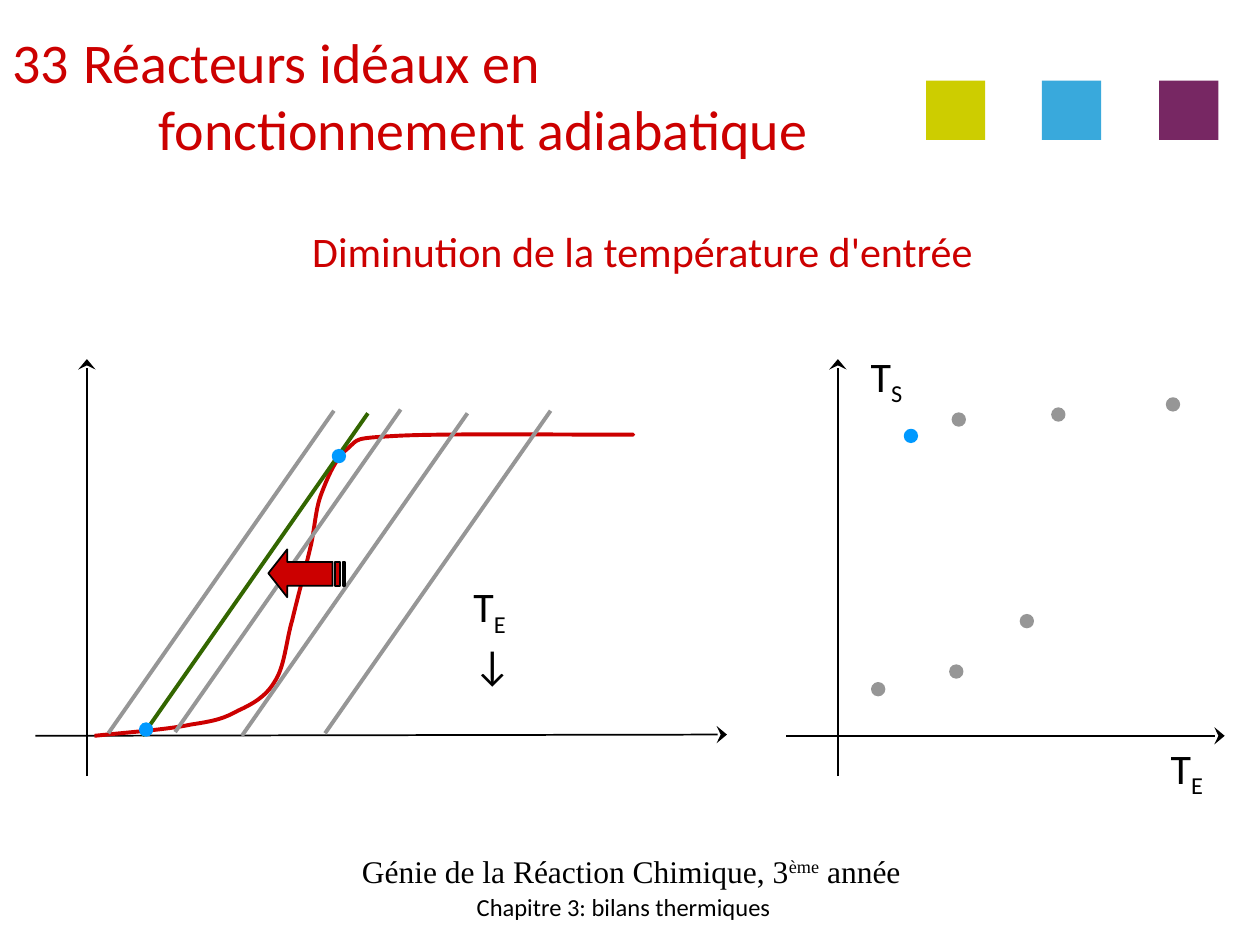
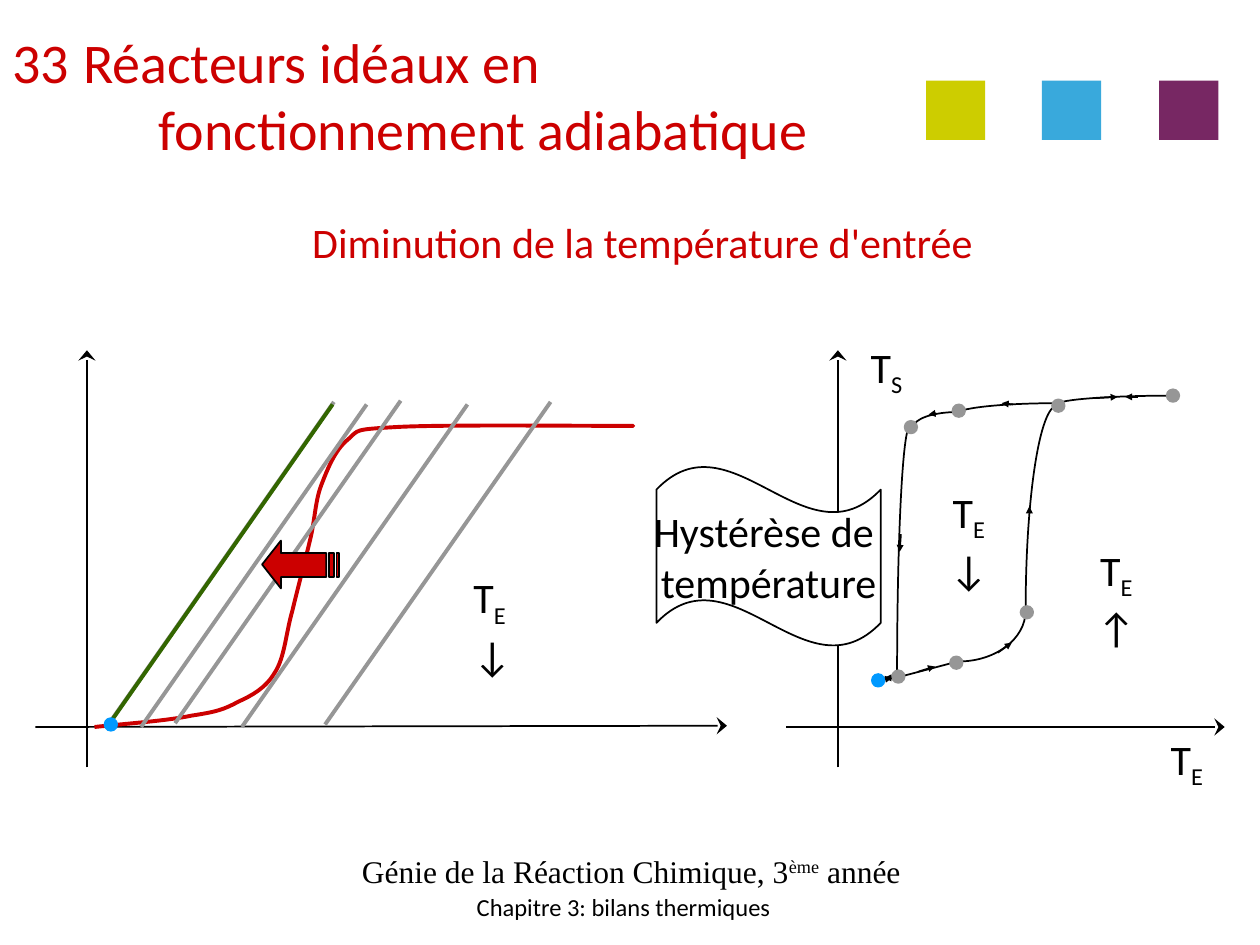
from dataclasses import dataclass
from typing import NamedTuple

from lxml import etree
from pptx import Presentation
from pptx import util as u
from pptx.dml.color import RGBColor
from pptx.enum import shapes, text
from pptx.oxml.ns import qn

PX = 9144  # 100 px to the inch
CIRCLE_HANDLE = 0.55


def px(length: float) -> u.Emu:
    return u.Emu(round(length * PX))


def rgb(value: str) -> RGBColor:
    return RGBColor.from_string(value)


@dataclass(frozen=True)
class Theme:
    body_font: str = "Calibri"
    footer_font: str = "Times New Roman"
    black: str = "000000"
    white: str = "FFFFFF"
    red: str = "CC0000"
    gray: str = "969696"
    green: str = "336600"
    blue: str = "0099FF"
    squares: tuple[str, ...] = ("CDCD00", "39A9DC", "772763")
    title_size: int = 32
    label_size: int = 24
    footer_size: int = 18
    chapter_size: int = 14
    thin: float = 1
    thick: float = 2.25


THEME = Theme()


class Point(NamedTuple):
    x: float
    y: float


class Box(NamedTuple):
    left: int
    top: int
    width: int
    height: int


class Run(NamedTuple):
    text: str
    baseline: int = 0


class Segment(NamedTuple):
    start: Point
    end: Point


class ArrowTip(NamedTuple):
    type: str
    w: str
    len: str


AXIS_TIP = ArrowTip("stealth", "lg", "med")
DIRECTION_TIP = ArrowTip("triangle", "sm", "sm")


def segment(x1: int, y1: int, x2: int, y2: int) -> Segment:
    return Segment(Point(x1, y1), Point(x2, y2))


def quarter_ellipse(flat: Point, steep: Point) -> list[Point]:
    """Bézier knots of an arc, horizontal at the first point and vertical at the second."""
    return [flat, Point(flat.x + CIRCLE_HANDLE * (steep.x - flat.x), flat.y),
            Point(steep.x, steep.y + CIRCLE_HANDLE * (flat.y - steep.y)), steep]


REACTION_KNOTS = [Point(*knot) for knot in (
    (75, 584), (104, 581), (133, 579), (152, 575), (172, 572), (178, 570), (189, 564),
    (200, 559), (211, 553), (218, 541), (226, 529), (227, 509), (232, 492), (236, 475),
    (242, 453), (246, 436), (250, 420), (250, 405), (255, 392), (260, 379), (266, 364),
    (276, 356), (285, 348), (280, 348), (314, 346), (348, 344), (449, 345), (480, 345),
    (510, 345), (504, 345), (497, 345))]

AXES = [segment(69, 616, 69, 285), segment(28, 584, 577, 583),
        segment(665, 616, 665, 285), segment(624, 584, 972, 584)]
OPERATING_FEET = [Point(86, 582), Point(192, 584), Point(258, 582), Point(139, 581)]
STEADY_STATES = [Point(754, 528), Point(835, 324), Point(810, 488),
                 Point(926, 316), Point(756, 328)]

HYSTERESIS_ARCS = [quarter_ellipse(Point(*flat), Point(*steep)) for flat, steep in (
    ((760, 334), (725, 346)), ((722, 346), (712, 543)), ((838, 327), (758, 336)),
    ((932, 321), (839, 328)), ((761, 532), (814, 492)), ((839, 329), (814, 491)))]
HYSTERESIS_LINES = [segment(711, 545, 760, 532), segment(696, 547, 711, 545)]
DIRECTION_ARROWS = [
    segment(729, 540, 742, 536), segment(792, 525, 803, 517), segment(817, 419, 817, 409),
    segment(703, 546, 708, 545), segment(869, 323, 887, 322), segment(903, 322, 893, 322),
    segment(804, 328, 795, 327), segment(743, 335, 737, 336), segment(715, 431, 714, 445),
    segment(706, 545, 702, 545)]

ARROW_HEAD = [(0, 19), (15, 0), (15, 10), (51, 10), (51, 29), (15, 29), (15, 38)]
ARROW_STRIPES = [[(left, 10), (right, 10), (right, 29), (left, 29)]
                 for left, right in ((53, 57), (59, 61))]


def format_paragraph(paragraph, size: int, color: str, align=text.PP_ALIGN.LEFT,
                     font: str = THEME.body_font) -> None:
    paragraph.alignment = align
    paragraph.font.size = u.Pt(size)
    paragraph.font.name = font
    paragraph.font.color.rgb = rgb(color)


def add_runs(paragraph, runs: list[Run]) -> None:
    for item in runs:
        run = paragraph.add_run()
        run.text = item.text
        if item.baseline:
            run._r.get_or_add_rPr().set("baseline", str(item.baseline * 1000))


def bend(shape) -> None:
    """Turn each three straight segments of a freeform into one cubic Bézier."""
    lines = list(shape._element.iter(qn("a:lnTo")))
    for first, second, third in zip(lines[::3], lines[1::3], lines[2::3]):
        first.tag = qn("a:cubicBezTo")
        for line in (second, third):
            first.append(line[0])
            line.getparent().remove(line)


@dataclass
class Canvas:
    """A slide whose drawing is shifted down by a fixed number of px."""
    slide: object
    shift: int = 0

    def frame(self, box: Box) -> tuple:
        return px(box.left), px(box.top + self.shift), px(box.width), px(box.height)

    def style(self, shape, fill: str | None, line: str | None, width: float = THEME.thin) -> None:
        shape.shadow.inherit = False
        if fill:
            shape.fill.solid()
            shape.fill.fore_color.rgb = rgb(fill)
        else:
            shape.fill.background()
        if line:
            shape.line.color.rgb = rgb(line)
            shape.line.width = u.Pt(width)
        else:
            shape.line.fill.background()

    def preset(self, kind, box: Box, fill: str, line: str | None):
        shape = self.slide.shapes.add_shape(kind, *self.frame(box))
        self.style(shape, fill, line)
        return shape

    def dot(self, corner: Point, color: str) -> None:
        self.preset(shapes.MSO_SHAPE.OVAL, Box(*corner, 10, 10), color, color)

    def line(self, item: Segment, color: str = THEME.black, width: float = THEME.thin,
             tip: ArrowTip | None = None) -> None:
        connector = self.slide.shapes.add_connector(
            shapes.MSO_CONNECTOR.STRAIGHT, px(item.start.x), px(item.start.y + self.shift),
            px(item.end.x), px(item.end.y + self.shift))
        connector.line.color.rgb = rgb(color)
        connector.line.width = u.Pt(width)
        if tip:
            etree.SubElement(connector.line._get_or_add_ln(), qn("a:tailEnd"), **tip._asdict())
        etree.SubElement(connector._element.spPr, qn("a:effectLst"))

    def operating_line(self, foot: Point, color: str = THEME.gray) -> None:
        self.line(Segment(foot, Point(foot.x + 179, foot.y - 256)), color, THEME.thick)

    def outline(self, contours: list[list[Point]], closed: bool):
        (first, *rest), *others = [
            [(px(x), px(y + self.shift)) for x, y in contour] for contour in contours]
        builder = self.slide.shapes.build_freeform(*first)
        builder.add_line_segments(rest, close=closed)
        for start, *following in others:
            builder.move_to(*start)
            builder.add_line_segments(following, close=closed)
        return builder.convert_to_shape()

    def curve(self, knots: list[Point], color: str, width: float) -> None:
        shape = self.outline([knots], closed=False)
        bend(shape)
        self.style(shape, None, color, width)

    def striped_arrow(self, left: int, top: int) -> None:
        contours = [[Point(left + x, top + y) for x, y in contour]
                    for contour in (ARROW_HEAD, *ARROW_STRIPES)]
        self.style(self.outline(contours, closed=True), THEME.red, THEME.black)

    def label(self, box: Box, runs: list[Run], size: int = THEME.label_size,
              color: str = THEME.black, align=text.PP_ALIGN.CENTER,
              font: str = THEME.body_font, anchor=text.MSO_ANCHOR.TOP):
        frame = self.slide.shapes.add_textbox(*self.frame(box)).text_frame
        frame.word_wrap = False
        frame.vertical_anchor = anchor
        paragraph = frame.paragraphs[0]
        format_paragraph(paragraph, size, color, align, font)
        add_runs(paragraph, runs)
        return frame

    def inlet_trend(self, left: int, top: int, arrow: str, align=text.PP_ALIGN.CENTER) -> None:
        """Inlet temperature symbol with its arrow wrapped onto the next line."""
        frame = self.label(Box(left, top, 76, 51), [Run("T"), Run("E ", -25), Run(arrow)],
                           align=align)
        frame.word_wrap = True
        margins = (10, 24) if align == text.PP_ALIGN.LEFT else (17, 17)
        frame.margin_left, frame.margin_right = map(px, margins)


def add_tab_stop(properties) -> None:
    tabs = etree.SubElement(properties, qn("a:tabLst"))
    etree.SubElement(tabs, qn("a:tab"), pos=str(px(116)), algn="l")


def write_title(slide) -> None:
    title = slide.shapes.title
    title.left, title.top, title.width, title.height = map(px, Box(0, 12, 853, 126))
    frame = title.text_frame
    frame.word_wrap = True
    frame.auto_size = text.MSO_AUTO_SIZE.NONE
    frame.vertical_anchor = text.MSO_ANCHOR.MIDDLE
    numbered, continued = frame.paragraphs[0], frame.add_paragraph()
    properties = numbered._p.get_or_add_pPr()
    properties.set("marL", str(px(56)))
    properties.set("indent", str(px(-56)))
    etree.SubElement(properties, qn("a:buFont"), typeface="+mj-lt")
    etree.SubElement(properties, qn("a:buAutoNum"), type="arabicPlain", startAt="33")
    for paragraph, words in ((numbered, "Réacteurs idéaux en"),
                             (continued, "\tfonctionnement adiabatique")):
        add_tab_stop(paragraph._p.get_or_add_pPr())
        format_paragraph(paragraph, THEME.title_size, THEME.red)
        add_runs(paragraph, [Run(words)])


def new_slide(presentation):
    slide = presentation.slides.add_slide(presentation.slide_layouts.get_by_name("Title Only"))
    write_title(slide)
    canvas = Canvas(slide)
    middle = text.MSO_ANCHOR.MIDDLE
    canvas.label(Box(345, 695, 300, 50), [Run("Chapitre 3: bilans thermiques")],
                 THEME.chapter_size, anchor=middle)
    canvas.label(Box(272, 666, 458, 50),
                 [Run("Génie de la Réaction Chimique, 3"), Run("ème", 30), Run(" année")],
                 THEME.footer_size, font=THEME.footer_font, anchor=middle)
    for index, color in enumerate(THEME.squares):
        left = 735 + 185 * index // 2
        canvas.preset(shapes.MSO_SHAPE.RECTANGLE, Box(left, 64, 47, 47), color, None)
    return slide


def draw_diagrams(canvas: Canvas) -> None:
    """Heat balance on the left, outlet against inlet temperature on the right."""
    canvas.label(Box(238, 174, 550, 51), [Run("Diminution de la température d'entrée")],
                 color=THEME.red, align=text.PP_ALIGN.LEFT)
    for axis in AXES:
        canvas.line(axis, tip=AXIS_TIP)
    canvas.label(Box(680, 273, 47, 51), [Run("T"), Run("S", -25)])
    canvas.label(Box(918, 584, 48, 51), [Run("T"), Run("E", -25)])
    canvas.curve(REACTION_KNOTS, THEME.red, THEME.thick)
    for foot in OPERATING_FEET:
        canvas.operating_line(foot)
    for corner in STEADY_STATES:
        canvas.dot(corner, THEME.gray)
    canvas.inlet_trend(366, 456, "↓", text.PP_ALIGN.LEFT)


def draw_extinction_point(canvas: Canvas) -> None:
    draw_diagrams(canvas)
    canvas.dot(Point(692, 542), THEME.gray)
    canvas.operating_line(Point(113, 584), THEME.green)
    for corner in (Point(111, 574), Point(264, 357), Point(718, 341)):
        canvas.dot(corner, THEME.blue)
    canvas.striped_arrow(213, 436)


def draw_hysteresis(canvas: Canvas) -> None:
    for arc in HYSTERESIS_ARCS:
        canvas.curve(arc, THEME.black, THEME.thin)
    for line in HYSTERESIS_LINES:
        canvas.line(line)
    draw_diagrams(canvas)
    canvas.operating_line(Point(112, 584))
    canvas.striped_arrow(208, 436)
    canvas.operating_line(Point(85, 584), THEME.green)
    for corner in (Point(718, 341), Point(708, 539)):
        canvas.dot(corner, THEME.gray)
    for corner in (Point(83, 577), Point(692, 542)):
        canvas.dot(corner, THEME.blue)
    for arrow in DIRECTION_ARROWS:
        canvas.line(arrow, tip=DIRECTION_TIP)
    canvas.inlet_trend(848, 434, "↑")
    canvas.inlet_trend(731, 388, "↓")
    wave = canvas.preset(shapes.MSO_SHAPE.WAVE, Box(521, 377, 178, 143), THEME.white, THEME.black)
    wave.adjustments[0], wave.adjustments[1] = 0.13, 0
    frame = wave.text_frame
    frame.word_wrap = False
    frame.vertical_anchor = text.MSO_ANCHOR.MIDDLE
    for paragraph, words in ((frame.paragraphs[0], "Hystérèse de "),
                             (frame.add_paragraph(), "température")):
        format_paragraph(paragraph, THEME.label_size, THEME.black, text.PP_ALIGN.CENTER)
        add_runs(paragraph, [Run(words)])


def main() -> None:
    presentation = Presentation()
    presentation.slide_width, presentation.slide_height = px(1000), px(750)
    draw_extinction_point(Canvas(new_slide(presentation)))
    draw_hysteresis(Canvas(new_slide(presentation), shift=-7))
    presentation.save("out.pptx")


if __name__ == "__main__":
    main()
